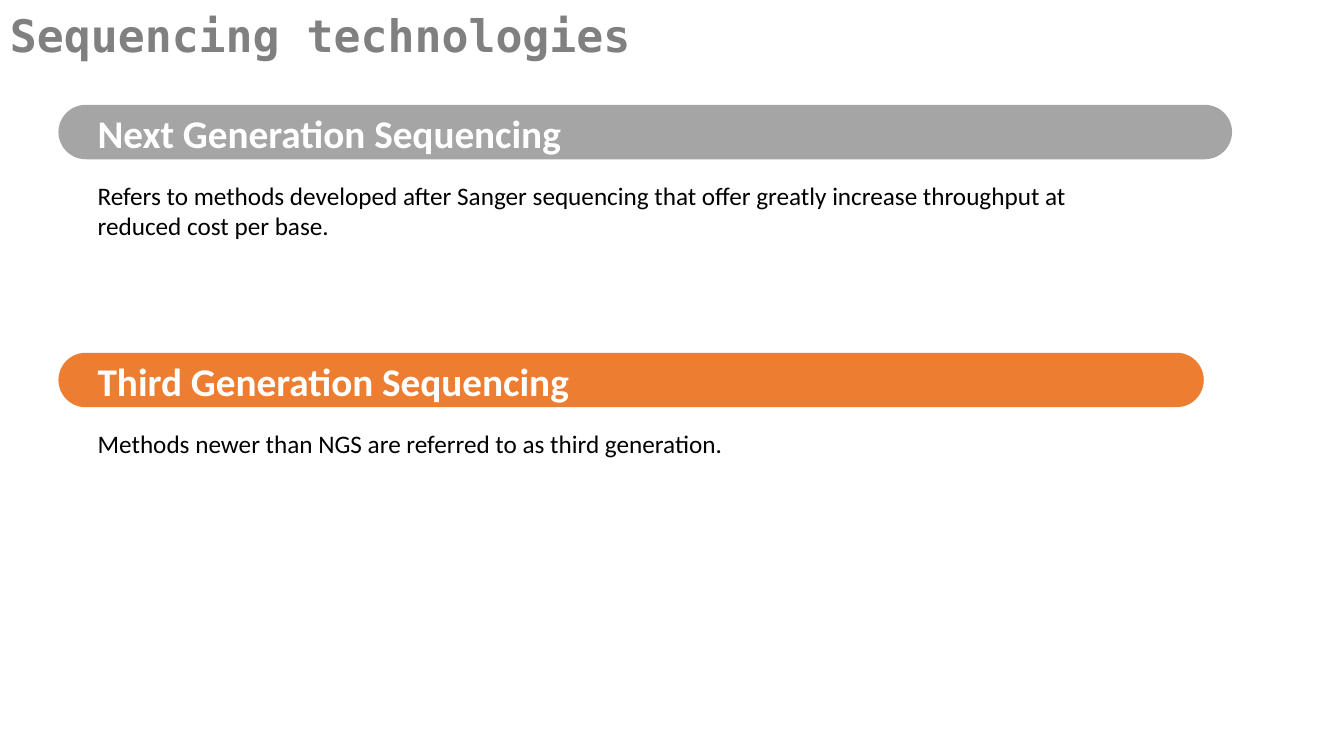
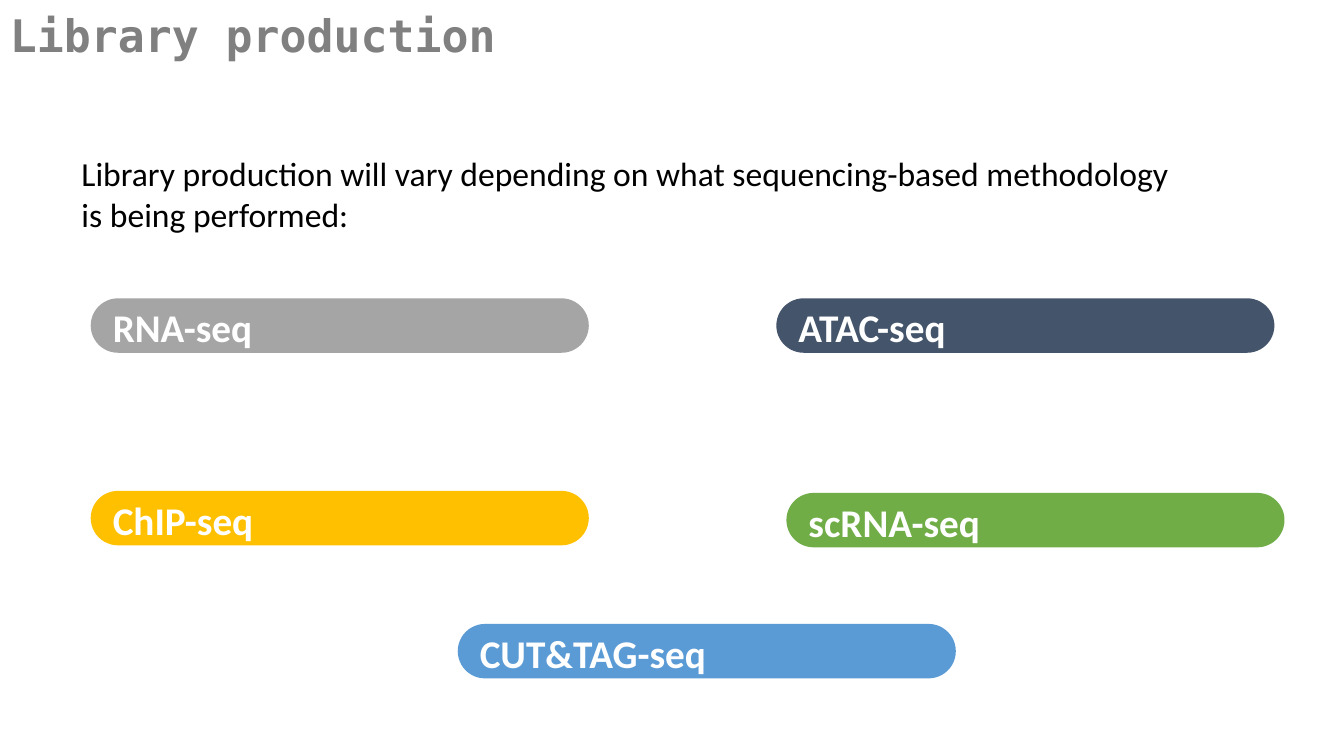
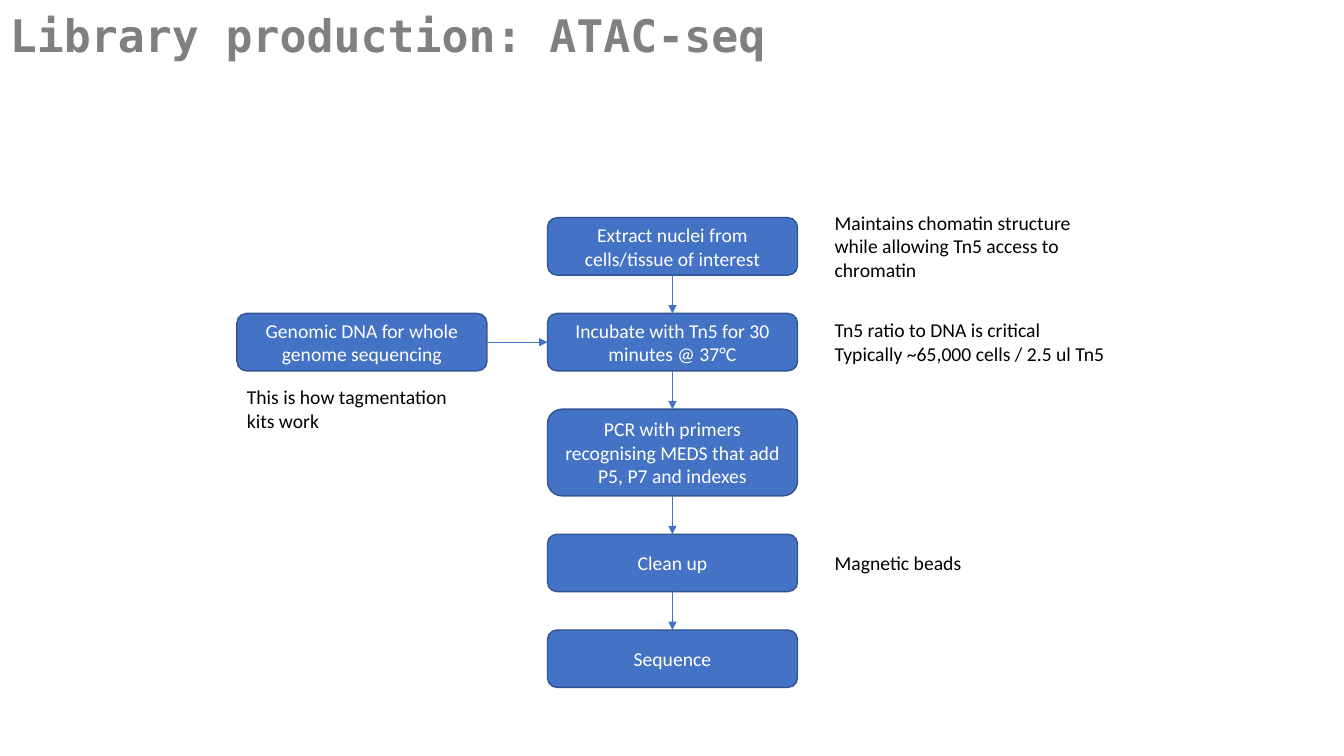
from lxml import etree
from pptx import Presentation
from pptx.dml.color import RGBColor
from pptx.enum.shapes import MSO_CONNECTOR, MSO_SHAPE
from pptx.enum.text import MSO_ANCHOR, PP_ALIGN
from pptx.oxml.ns import qn
from pptx.util import Inches, Pt

ROUNDED = MSO_SHAPE.ROUNDED_RECTANGLE
STRAIGHT = MSO_CONNECTOR.STRAIGHT
TOP, MIDDLE = MSO_ANCHOR.TOP, MSO_ANCHOR.MIDDLE
LEFT, CENTER = PP_ALIGN.LEFT, PP_ALIGN.CENTER
SIDE_TOP, SIDE_LEFT, SIDE_BOTTOM, SIDE_RIGHT = range(4)

COLORS = {
    "title": "808080", "text": "000000", "white": "FFFFFF",
    "gray": "A5A5A5", "orange": "ED7D31", "gold": "FFC000",
    "slate": "44546A", "green": "70AD47", "sky": "5B9BD5",
    "step": "4472C4", "step_line": "325491",
}
BODY_FONT = "Calibri"
TITLE_FONT = "DejaVu Sans Mono"

GENERATIONS = [
    ("Next Generation Sequencing", "gray", 1.04, 11.64, 10.63, 0.71,
     "Refers to methods developed after Sanger sequencing that offer greatly "
     "increase throughput at reduced cost per base."),
    ("Third Generation Sequencing", "orange", 3.5, 11.36, 10.38, 0.4,
     "Methods newer than NGS are referred to as third generation."),
]

LIBRARY_INTRO = ("Library production will vary depending on what sequencing-based "
                 "methodology is being performed:")
METHODS = [
    ("RNA-seq", "gray", 0.9, 2.96),
    ("ChIP-seq", "gold", 0.9, 4.87),
    ("ATAC-seq", "slate", 7.7, 2.96),
    ("scRNA-seq", "green", 7.8, 4.89),
    ("CUT&TAG-seq", "sky", 4.54, 6.19),
]

STEPS = [
    ("Extract nuclei from cells/tissue of interest", 0.57,
     "Maintains chomatin structure while allowing Tn5 access to chromatin", 0.81),
    ("Incubate with Tn5 for 30 minutes @ 37°C", 0.57,
     "Tn5 ratio to DNA is critical\nTypically ~65,000 cells / 2.5 ul Tn5", 0.57),
    ("PCR with primers recognising MEDS that add P5, P7 and indexes", 0.86, None, 0),
    ("Clean up", 0.57, "Magnetic beads", 0.34),
    ("Sequence", 0.57, None, 0),
]
TN5_STEP = 1
SIDE_INPUT = "Genomic DNA for whole genome sequencing"
SIDE_NOTE = "This is how tagmentation kits work"

BAR_HEIGHT, LABEL_HEIGHT = 0.54, 0.57
STEP_LEFT, STEP_TOP, STEP_WIDTH, STEP_GAP = 5.43, 2.16, 2.48, 0.38
SIDE_X = 2.35
NOTE_LEFT, NOTE_WIDTH = 8.18, 2.89


def color(name):
    return RGBColor.from_string(COLORS[name])


def write(shape, text, size, ink="text", font=BODY_FONT, bold=False,
          align=LEFT, anchor=TOP):
    frame = shape.text_frame
    frame.word_wrap = True
    frame.vertical_anchor = anchor
    frame.text = text
    for para in frame.paragraphs:
        para.alignment = align
        for span in para.runs:
            span.font.name = font
            span.font.size = Pt(size)
            span.font.bold = bold
            span.font.color.rgb = color(ink)


def add_text(page, text, left, top, width, height, size, **style):
    box = page.shapes.add_textbox(Inches(left), Inches(top), Inches(width), Inches(height))
    write(box, text, size, **style)
    return box


def add_rounded(page, left, top, width, height, fill):
    shape = page.shapes.add_shape(
        ROUNDED, Inches(left), Inches(top), Inches(width), Inches(height))
    shape.shadow.inherit = False
    shape.fill.solid()
    shape.fill.fore_color.rgb = color(fill)
    return shape


def add_bar(page, text, fill, left, top, width, indent):
    bar = add_rounded(page, left, top, width, BAR_HEIGHT, fill)
    bar.adjustments[0] = 0.5
    bar.line.fill.background()
    add_text(page, text, left + indent, top, width - indent, LABEL_HEIGHT, 28,
             ink="white", bold=True)


def add_step(page, text, left, top, height):
    step = add_rounded(page, left, top, STEP_WIDTH, height, "step")
    step.line.color.rgb = color("step_line")
    step.line.width = Pt(1)
    write(step, text, 14, ink="white", align=CENTER, anchor=MIDDLE)
    return step


def add_arrow(page, source, source_side, target, target_side):
    arrow = page.shapes.add_connector(STRAIGHT, 0, 0, 0, 0)
    arrow.begin_connect(source, source_side)
    arrow.end_connect(target, target_side)
    arrow.line.color.rgb = color("step")
    arrow.line.width = Pt(0.5)
    etree.SubElement(arrow.line._get_or_add_ln(), qn("a:tailEnd"), type="triangle")
    etree.SubElement(arrow._element.spPr, qn("a:effectLst"))


def add_page(deck, title):
    page = deck.slides.add_slide(deck.slide_layouts[6])
    box = add_text(page, title, 0, 0.09, 13.16, 1.37, 32,
                   ink="title", font=TITLE_FONT, bold=True)
    box.text_frame.paragraphs[0].line_spacing = 0.9
    return page


def build_technologies(deck):
    page = add_page(deck, "Sequencing technologies")
    for name, fill, top, bar_width, text_width, text_height, text in GENERATIONS:
        add_bar(page, name, fill, 0.58, top, bar_width, 0.29)
        add_text(page, text, 0.87, top + 0.7, text_width, text_height, 18)


def build_methods(deck):
    page = add_page(deck, "Library production")
    add_text(page, LIBRARY_INTRO, 0.71, 1.47, 11.06, 0.91, 24)
    for name, fill, left, top in METHODS:
        add_bar(page, name, fill, left, top, 4.94, 0.12)


def build_atac(deck):
    page = add_page(deck, "Library production: ATAC-seq")
    steps = []
    top = STEP_TOP
    for index, (text, height, note, note_height) in enumerate(STEPS):
        step = add_step(page, text, STEP_LEFT, top, height)
        if steps:
            add_arrow(page, steps[-1], SIDE_BOTTOM, step, SIDE_TOP)
        if note:
            add_text(page, note, NOTE_LEFT, top + (height - note_height) / 2,
                     NOTE_WIDTH, note_height, 14)
        if index == TN5_STEP:
            side = add_step(page, SIDE_INPUT, SIDE_X, top, height)
            add_arrow(page, side, SIDE_RIGHT, step, SIDE_LEFT)
            add_text(page, SIDE_NOTE, SIDE_X, top + 0.66, STEP_WIDTH, 0.57, 14)
        steps.append(step)
        top += height + STEP_GAP


def main():
    deck = Presentation()
    deck.slide_width, deck.slide_height = Inches(13.33), Inches(7.5)
    build_technologies(deck)
    build_methods(deck)
    build_atac(deck)
    deck.save("out.pptx")


if __name__ == "__main__":
    main()
